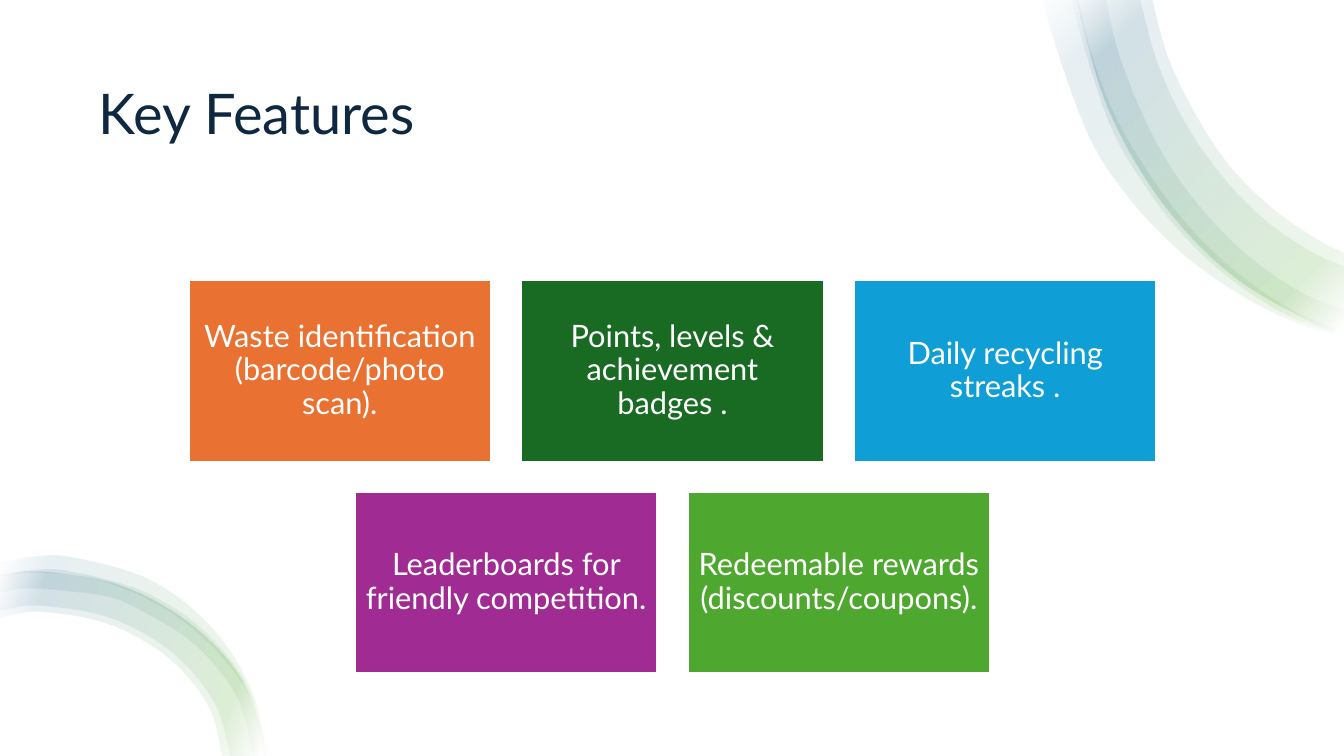
from dataclasses import dataclass

from lxml import etree
from pptx import Presentation
from pptx.dml.color import RGBColor
from pptx.enum import shapes, text
from pptx.oxml import ns
from pptx.util import Inches, Pt

Point = tuple[float, float]


@dataclass(frozen=True)
class Theme:
    font: str = "Lato"
    title_size: float = 40
    card_size: float = 22
    line_spacing: float = 0.9
    border: float = 1.5
    ink: str = "0E2841"
    white: str = "FFFFFF"
    ribbon_stops: tuple = ((2, "FFFFFF"), (16, "4EA72E"), (85, "156082"), (100, "FFFFFF"))
    ribbon_alpha: int = 10


@dataclass(frozen=True)
class Card:
    label: str
    fill: str


@dataclass(frozen=True)
class Ribbon:
    outer: list[Point]
    inner: list[Point]
    angle: int


THEME = Theme()
SLIDE_W, SLIDE_H = 13.33, 7.5
CARD_W, CARD_H, CARD_GAP = 3, 1.8, 0.3
CARDS_CENTER, CARDS_TOP = 6.67, 2.78
TOP_ANGLE, BOTTOM_ANGLE = 225, 200

CARD_ROWS = [
    [
        Card("Waste identification (barcode/photo scan).", "E97132"),
        Card("Points, levels & achievement badges .", "196B24"),
        Card("Daily recycling streaks .", "0F9ED5"),
    ],
    [
        Card("Leaderboards for friendly competition.", "A02B93"),
        Card("Redeemable rewards (discounts/coupons).", "4EA72E"),
    ],
]

TOP_EDGE = [(13.33, 3.32), (13.09, 3.24), (12.23, 2.74), (11.52, 2), (10.99, 1.07),
            (10.69, 0.04), (10.67, -0.09)]
BOTTOM_EDGE = [(2.63, 7.5), (2.62, 7.35), (2.36, 6.69), (1.85, 6.16), (1.17, 5.8),
               (0.4, 5.67), (0, 5.72)]

RIBBONS = [
    Ribbon([(13.33, 3.35), (12.82, 3.19), (12.21, 2.87), (11.65, 2.45), (11.16, 1.92),
            (10.78, 1.31), (10.41, 0.26), (10.36, -0.09)],
           [(10.68, -0.09), (10.82, 0.52), (11.06, 1.15), (11.4, 1.73), (11.81, 2.27),
            (12.3, 2.73), (12.86, 3.1), (13.33, 3.28)], TOP_ANGLE),
    Ribbon(TOP_EDGE,
           [(11.41, -0.09), (11.58, 0.55), (11.85, 1.12), (12.19, 1.64), (12.61, 2.06),
            (13.07, 2.38), (13.33, 2.51)], TOP_ANGLE),
    Ribbon([(13.33, 3.33), (12.79, 3.14), (12.23, 2.79), (11.73, 2.33), (11.32, 1.79),
            (10.99, 1.19), (10.68, 0.2), (10.63, -0.09)],
           [(10.96, -0.09), (11.07, 0.44), (11.29, 1.04), (11.58, 1.61), (11.95, 2.11),
            (12.39, 2.55), (12.9, 2.9), (13.33, 3.08)], TOP_ANGLE),
    Ribbon(TOP_EDGE,
           [(11.29, -0.09), (11.47, 0.59), (11.74, 1.19), (12.1, 1.72), (12.53, 2.17),
            (13.01, 2.5), (13.33, 2.64)], TOP_ANGLE),
    Ribbon(BOTTOM_EDGE,
           [(0, 6.13), (0.4, 6.07), (1.07, 6.19), (1.66, 6.52), (2.06, 7), (2.2, 7.5)],
           BOTTOM_ANGLE),
    Ribbon(BOTTOM_EDGE,
           [(0, 6.06), (0.4, 6.01), (1.09, 6.13), (1.7, 6.47), (2.12, 6.97), (2.28, 7.5)],
           BOTTOM_ANGLE),
    Ribbon([(2.63, 7.5), (2.47, 6.85), (2.03, 6.27), (1.42, 5.87), (0.69, 5.67),
            (0.31, 5.66), (0, 5.71)],
           [(0, 5.88), (0.33, 5.84), (1.01, 5.91), (1.34, 6.03), (1.92, 6.39),
            (2.34, 6.91), (2.51, 7.5)], BOTTOM_ANGLE),
    Ribbon([(2.64, 7.5), (2.5, 6.87), (2.1, 6.23), (1.48, 5.75), (0.71, 5.53),
            (0.31, 5.53), (0, 5.59)],
           [(0, 5.72), (0.32, 5.68), (0.87, 5.73), (1.39, 5.91), (1.86, 6.2),
            (2.25, 6.58), (2.51, 7.01), (2.62, 7.5)], BOTTOM_ANGLE),
]


def curve_edge(points: list, segments: list) -> None:
    knots = [(int(pt.get("x")), int(pt.get("y"))) for pt in points]
    padded = [knots[0], *knots, knots[-1]]
    for a, b, c, d, segment in zip(padded, padded[1:], padded[2:], padded[3:], segments):
        leave = [q + (r - p) / 6 for p, q, r in zip(a, b, c)]
        arrive = [r - (s - q) / 6 for q, r, s in zip(b, c, d)]
        curve = etree.Element(ns.qn("a:cubicBezTo"))
        for x, y in (leave, arrive, c):
            etree.SubElement(curve, ns.qn("a:pt"), x=str(round(x)), y=str(round(y)))
        segment.getparent().replace(segment, curve)


def set_gradient(sp, angle: int) -> None:
    sp.fill.gradient()
    grad = sp._element.spPr.find(ns.qn("a:gradFill"))
    for child in list(grad):
        grad.remove(child)
    stops = etree.SubElement(grad, ns.qn("a:gsLst"))
    for position, color in THEME.ribbon_stops:
        stop = etree.SubElement(stops, ns.qn("a:gs"), pos=str(position * 1000))
        clr = etree.SubElement(stop, ns.qn("a:srgbClr"), val=color)
        etree.SubElement(clr, ns.qn("a:alpha"), val=str(THEME.ribbon_alpha * 1000))
    etree.SubElement(grad, ns.qn("a:lin"), ang=str(angle * 60000), scaled="0")


def add_ribbon(slide, ribbon: Ribbon) -> None:
    start, *rest = [(Inches(x), Inches(y)) for x, y in ribbon.outer + ribbon.inner]
    builder = slide.shapes.build_freeform(*start)
    builder.add_line_segments(rest, close=True)
    sp = builder.convert_to_shape()
    points = list(sp._element.spPr.iter(ns.qn("a:pt")))
    segments = list(sp._element.spPr.iter(ns.qn("a:lnTo")))
    turn = len(ribbon.outer)
    curve_edge(points[:turn], segments[:turn - 1])
    curve_edge(points[turn:], segments[turn:])
    sp.shadow.inherit = False
    sp.line.fill.background()
    set_gradient(sp, ribbon.angle)


def add_rect(slide, x: float, y: float, w: float, h: float, fill: str):
    sp = slide.shapes.add_shape(
        shapes.MSO_SHAPE.RECTANGLE, Inches(x), Inches(y), Inches(w), Inches(h))
    sp.shadow.inherit = False
    sp.fill.solid()
    sp.fill.fore_color.rgb = RGBColor.from_string(fill)
    sp.line.fill.background()
    return sp


def write(sp, content: str, size: float, color: str, align) -> None:
    tf = sp.text_frame
    tf.word_wrap = True
    tf.vertical_anchor = text.MSO_ANCHOR.MIDDLE
    p = tf.paragraphs[0]
    p.text = content
    p.alignment = align
    p.line_spacing = THEME.line_spacing
    p.font.name = THEME.font
    p.font.size = Pt(size)
    p.font.color.rgb = RGBColor.from_string(color)


def add_card(slide, card: Card, x: float, y: float) -> None:
    sp = add_rect(slide, x, y, CARD_W, CARD_H, card.fill)
    sp.line.color.rgb = RGBColor.from_string(THEME.white)
    sp.line.width = Pt(THEME.border)
    tf = sp.text_frame
    tf.margin_left = tf.margin_right = tf.margin_top = tf.margin_bottom = Inches(0.09)
    write(sp, card.label, THEME.card_size, THEME.white, text.PP_ALIGN.CENTER)


def main() -> None:
    prs = Presentation()
    prs.slide_width, prs.slide_height = Inches(SLIDE_W), Inches(SLIDE_H)
    slide = prs.slides.add_slide(prs.slide_layouts[6])
    add_rect(slide, 0, 0, SLIDE_W, SLIDE_H, THEME.white)
    title = slide.shapes.add_textbox(Inches(0.88), Inches(0.5), Inches(11.57), Inches(1.3))
    write(title, "Key Features", THEME.title_size, THEME.ink, text.PP_ALIGN.LEFT)
    for ribbon in RIBBONS:
        add_ribbon(slide, ribbon)
    for row, cards in enumerate(CARD_ROWS):
        row_width = len(cards) * (CARD_W + CARD_GAP) - CARD_GAP
        left = CARDS_CENTER - row_width / 2
        for column, card in enumerate(cards):
            add_card(slide, card, left + column * (CARD_W + CARD_GAP),
                     CARDS_TOP + row * (CARD_H + CARD_GAP))
    prs.save("out.pptx")


if __name__ == "__main__":
    main()
